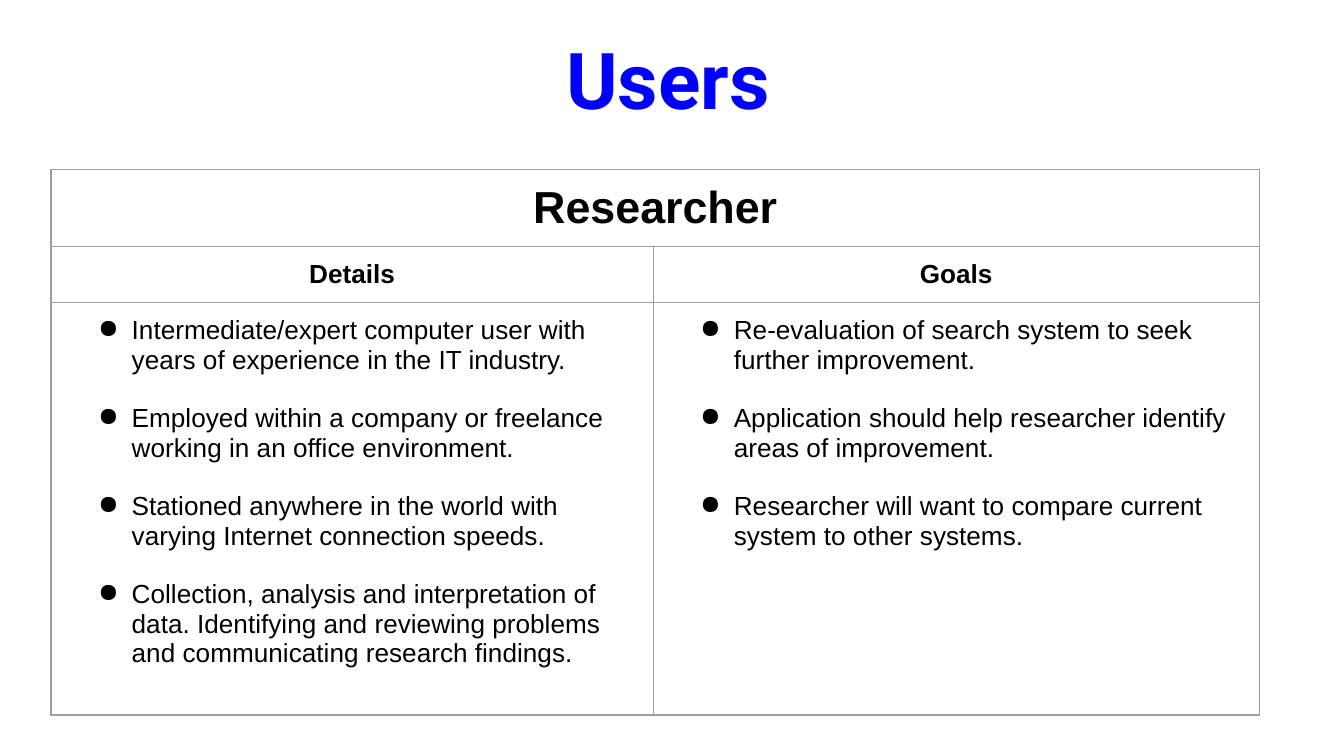
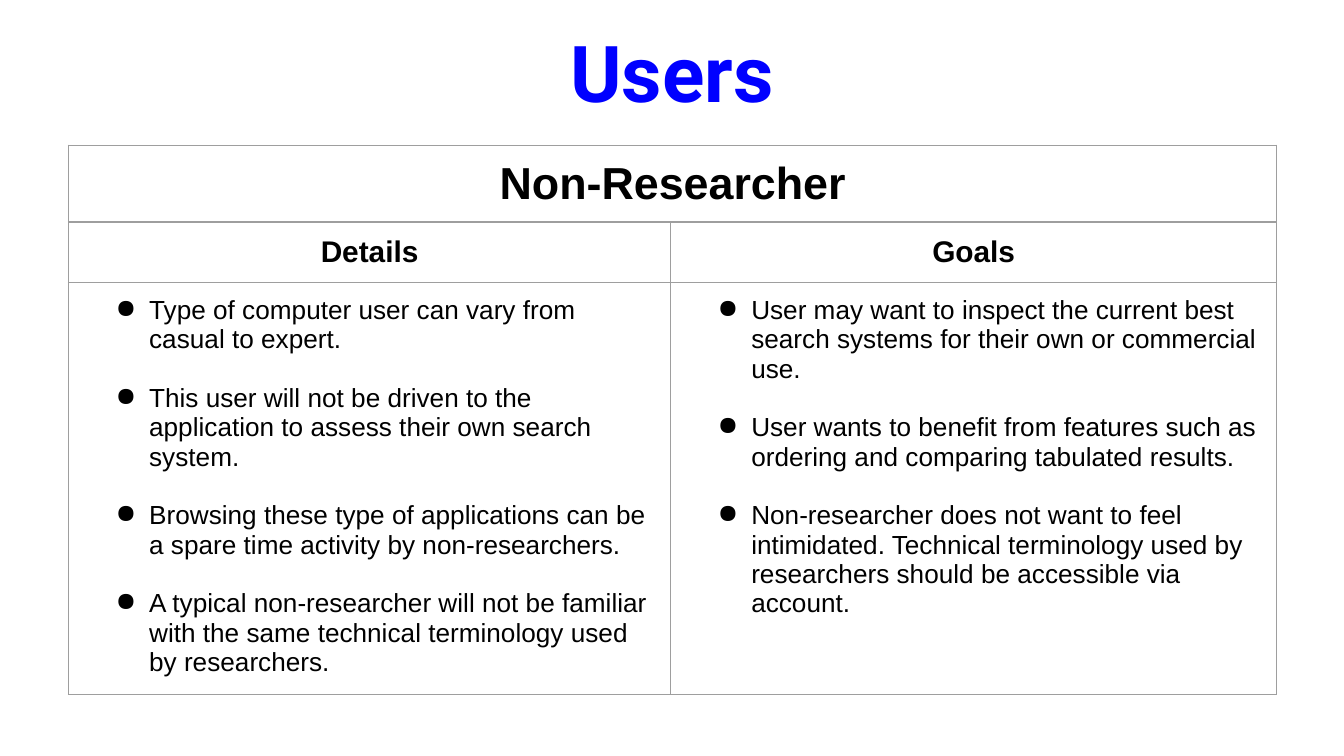
from lxml.etree import SubElement
from pptx import Presentation
from pptx.dml.color import RGBColor
from pptx.enum.text import MSO_ANCHOR, MSO_AUTO_SIZE, PP_ALIGN
from pptx.oxml import parse_xml
from pptx.oxml.ns import nsdecls, qn
from pptx.util import Inches, Pt

# Shared style
BLUE = RGBColor(0x00, 0x00, 0xFF)
BLACK = RGBColor(0x00, 0x00, 0x00)
BORDER_GREY = RGBColor(0x9E, 0x9E, 0x9E)
TITLE_FONT = "Roboto"
BODY_FONT = "Arial"
MARGIN = Inches(0.1)
COLUMN_WIDTHS = (4.48, 4.51)
ROW_HEIGHTS = (0.35, 0.28, 3.07)
BODY_SIZE = 14
BULLET_GAP = Pt(15.7)


class UserDeck:
    def __init__(self):
        self.deck = Presentation()
        self.deck.slide_width = Inches(10)
        self.deck.slide_height = Inches(5.625)
        self.page = None

    def add_page(self):
        self.page = self.deck.slides.add_slide(self.deck.slide_layouts[5])

    def set_margins(self, item):
        item.margin_left = item.margin_right = MARGIN
        item.margin_top = item.margin_bottom = MARGIN

    def add_span(self, para, text, size, font=BODY_FONT, color=BLACK, bold=False):
        span = para.add_run()
        span.text = text
        span.font.name = font
        span.font.size = Pt(size)
        span.font.bold = bold
        span.font.color.rgb = color

    def add_title(self, text, left, top):
        box = self.page.shapes.title
        box.left, box.top = Inches(left), Inches(top)
        box.width, box.height = Inches(9.32), Inches(0.88)
        frame = box.text_frame
        frame.word_wrap = True
        frame.auto_size = MSO_AUTO_SIZE.NONE
        frame.vertical_anchor = MSO_ANCHOR.MIDDLE
        self.set_margins(frame)
        para = frame.paragraphs[0]
        para.alignment = PP_ALIGN.CENTER
        self.add_span(para, text, 42, TITLE_FONT, BLUE, bold=True)

    def style_cell(self, cell):
        self.set_margins(cell)
        cell.vertical_anchor = MSO_ANCHOR.TOP
        cell.fill.background()
        properties = cell._tc.get_or_add_tcPr()
        for index, side in enumerate("LRTB"):
            properties.insert(index, parse_xml(
                f'<a:ln{side} {nsdecls("a")} w="{Pt(0.75)}"><a:solidFill>'
                f'<a:srgbClr val="{BORDER_GREY}"/></a:solidFill></a:ln{side}>'))

    def fill_heading(self, cell, text, size):
        para = cell.text_frame.paragraphs[0]
        para.alignment = PP_ALIGN.CENTER
        self.add_span(para, text, size, bold=True)

    def fill_bullets(self, cell, items):
        frame = cell.text_frame
        for index, text in enumerate(items):
            para = frame.add_paragraph() if index else frame.paragraphs[0]
            if index:
                para.space_before = BULLET_GAP
            properties = para._p.get_or_add_pPr()
            properties.set("marL", str(Inches(0.5)))
            properties.set("indent", str(Inches(-0.25)))
            SubElement(properties, qn("a:buChar")).set("char", "●")
            self.add_span(para, text, BODY_SIZE)

    def add_user_table(self, left, top, user, heading_size, columns):
        frame = self.page.shapes.add_table(
            len(ROW_HEIGHTS), len(COLUMN_WIDTHS), Inches(left), Inches(top),
            Inches(sum(COLUMN_WIDTHS)), Inches(sum(ROW_HEIGHTS)))
        table = frame.table
        table.first_row = table.horz_banding = False
        for column, width in zip(table.columns, COLUMN_WIDTHS):
            column.width = Inches(width)
        for row, height in zip(table.rows, ROW_HEIGHTS):
            row.height = Inches(height)
        for cell in table.iter_cells():
            self.style_cell(cell)
        table.cell(0, 0).merge(table.cell(0, 1))
        self.fill_heading(table.cell(0, 0), user, 24)
        for index, (heading, items) in enumerate(columns.items()):
            self.fill_heading(table.cell(1, index), heading, heading_size)
            self.fill_bullets(table.cell(2, index), items)


def main():
    users = UserDeck()

    # Researcher
    users.add_page()
    users.add_title("Users", 0.31, 0.14)
    users.add_user_table(0.38, 1.26, "Researcher", 14, {
        "Details": [
            "Intermediate/expert computer user with years of experience in the IT industry.",
            "Employed within a company or freelance working in an office environment.",
            "Stationed anywhere in the world with varying Internet connection speeds.",
            "Collection, analysis and interpretation of data. Identifying and reviewing "
            "problems and communicating research findings.",
        ],
        "Goals": [
            "Re-evaluation of search system to seek further improvement.",
            "Application should help researcher identify areas of improvement.",
            "Researcher will want to compare current system to other systems.",
        ],
    })

    # Non-researcher
    users.add_page()
    users.add_title("Users", 0.34, 0.09)
    users.add_user_table(0.51, 1.08, "Non-Researcher", 16, {
        "Details": [
            "Type of computer user can vary from casual to expert.",
            "This user will not be driven to the application to assess their own search system.",
            "Browsing these type of applications can be a spare time activity by non-researchers.",
            "A typical non-researcher will not be familiar with the same technical "
            "terminology used by researchers.",
        ],
        "Goals": [
            "User may want to inspect the current best search systems for their own or "
            "commercial use.",
            "User wants to benefit from features such as ordering and comparing tabulated results.",
            "Non-researcher does not want to feel intimidated. Technical terminology used by "
            "researchers should be accessible via account.",
        ],
    })

    users.deck.save("out.pptx")


if __name__ == "__main__":
    main()
